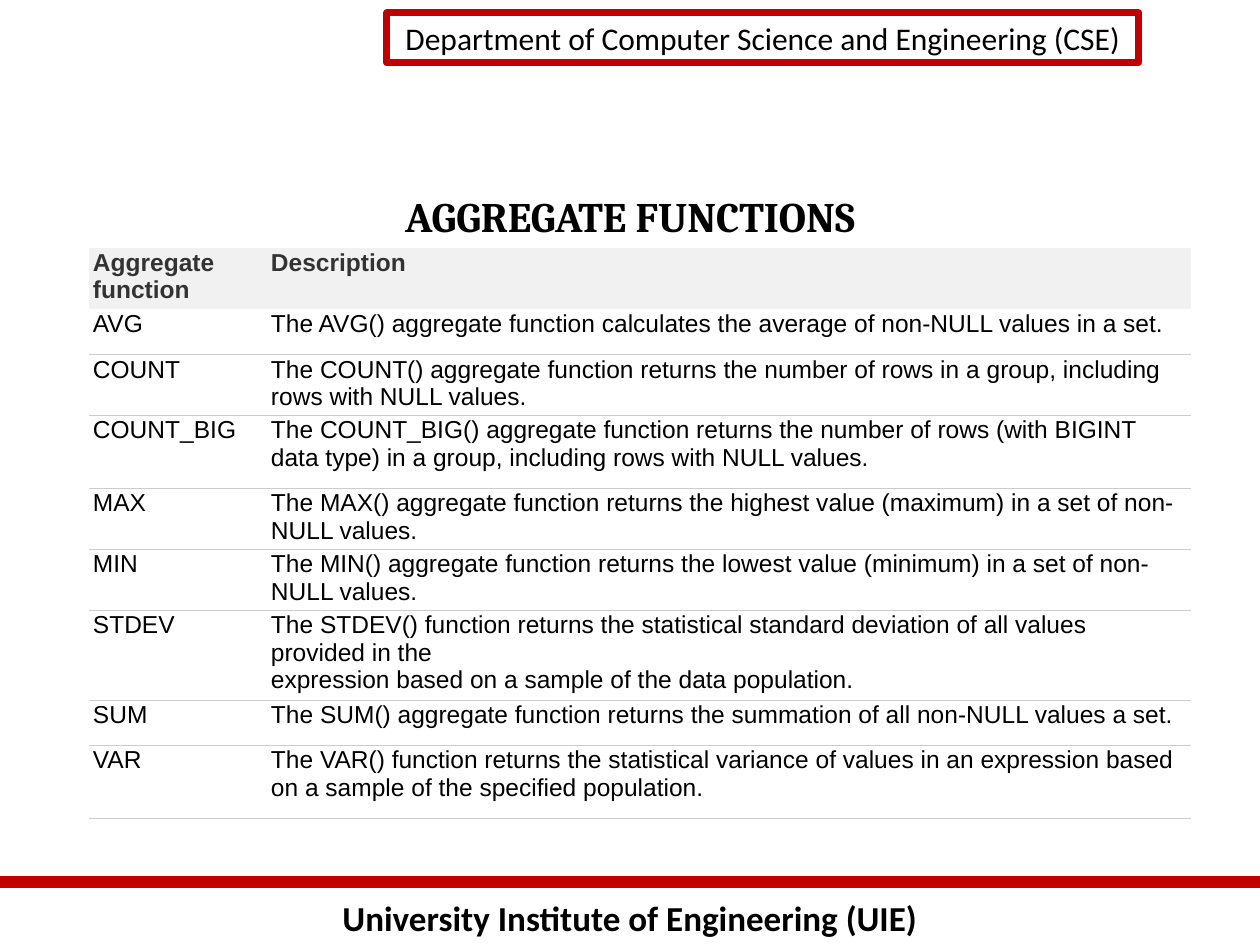
from lxml.etree import SubElement, fromstring
from pptx import Presentation
from pptx.dml.color import RGBColor
from pptx.enum.shapes import MSO_CONNECTOR, MSO_SHAPE
from pptx.enum.text import MSO_ANCHOR, PP_ALIGN
from pptx.oxml.ns import nsdecls, qn
from pptx.util import Pt

# Content
DEPT = "Department of Computer Science and Engineering (CSE)"
TITLE = "AGGREGATE FUNCTIONS"
FOOT = "University Institute of Engineering (UIE)"
HEAD = ("Aggregate function", "Description", 60)
ROWS = [  # function, description, row height in px
    ("AVG", "The AVG() aggregate function calculates the average of non-NULL values in a set.", 46),
    ("COUNT", "The COUNT() aggregate function returns the number of rows in a group, "
     "including rows with NULL values.", 60),
    ("COUNT_BIG", "The COUNT_BIG() aggregate function returns the number of rows "
     "(with BIGINT data type) in a group, including rows with NULL values.", 73),
    ("MAX", "The MAX() aggregate function returns the highest value (maximum) "
     "in a set of non-NULL values.", 60),
    ("MIN", "The MIN() aggregate function returns the lowest value (minimum) "
     "in a set of non-NULL values.", 60),
    ("STDEV", "The STDEV() function returns the statistical standard deviation of all values "
     "provided in the\nexpression based on a sample of the data population.", 88),
    ("SUM", "The SUM() aggregate function returns the summation of all non-NULL values a set.", 45),
    ("VAR", "The VAR() function returns the statistical variance of values in an expression "
     "based on a sample of the specified population.", 73),
]
COLS = (178, 924)

BLACK = RGBColor(0x00, 0x00, 0x00)
WHITE = RGBColor(0xFF, 0xFF, 0xFF)
RED = RGBColor(0xC0, 0x00, 0x00)
DARK = RGBColor(0x33, 0x33, 0x33)
PALE = RGBColor(0xF1, 0xF1, 0xF1)
RULE = RGBColor(0xCC, 0xCC, 0xCC)
NO_STYLE = "{2D5ABB26-0587-4C30-8999-92F81FD0307C}"


def px(n):
    return round(n * 914400 / 126)


def write(para, text, font, size, color=BLACK, bold=False):
    para.text = text
    for run in para.runs:
        run.font.name, run.font.size = font, Pt(size)
        run.font.bold, run.font.color.rgb = bold, color


def label(shape, text, font, size, bold=False, anchor=MSO_ANCHOR.TOP):
    frame = shape.text_frame
    frame.word_wrap = True
    frame.vertical_anchor = anchor
    para = frame.paragraphs[0]
    write(para, text, font, size, bold=bold)
    para.alignment = PP_ALIGN.CENTER


def edge(cell, sides):
    # Cell borders come first in the cell properties
    props = cell._tc.get_or_add_tcPr()
    for i, side in enumerate(sides):
        props.insert(i, fromstring(
            f'<a:{side} {nsdecls("a")} w="9525"><a:solidFill>'
            f'<a:srgbClr val="{RULE}"/></a:solidFill></a:{side}>'))


deck = Presentation()
deck.slide_width, deck.slide_height = px(1260), px(945)
slide = deck.slides.add_slide(deck.slide_layouts[6])
shapes = slide.shapes

# Footer with red rule
foot = shapes.add_textbox(0, px(890), px(1260), px(55))
label(foot, FOOT, "Calibri", 20, True)
rule = shapes.add_connector(MSO_CONNECTOR.STRAIGHT, 0, px(882), px(1260), px(882))
rule.line.color.rgb, rule.line.width = RED, Pt(7)
SubElement(rule._element.spPr, qn("a:effectLst"))

# Department box
dept = shapes.add_shape(MSO_SHAPE.RECTANGLE, px(387), px(13), px(752), px(50))
dept.shadow.inherit = False
dept.fill.background()
dept.line.color.rgb, dept.line.width = RED, Pt(4)
label(dept, DEPT, "Calibri", 18)

# Title
title = shapes.add_textbox(px(63), px(174), px(1134), px(83))
label(title, TITLE, "Cambria", 24, True, MSO_ANCHOR.MIDDLE)

# Function table
grid = [HEAD] + ROWS
table = shapes.add_table(len(grid), len(COLS), px(89), px(248), px(sum(COLS)),
                         px(sum(row[2] for row in grid))).table
table._tbl.tblPr.find(qn("a:tableStyleId")).text = NO_STYLE
table.horz_banding = False
for col, width in zip(table.columns, COLS):
    col.width = px(width)
for r, (*texts, height) in enumerate(grid):
    table.rows[r].height = px(height)
    for c, text in enumerate(texts):
        cell = table.cell(r, c)
        cell.margin_left = cell.margin_right = px(4)
        cell.margin_top = cell.margin_bottom = px(1)
        cell.fill.solid()
        cell.fill.fore_color.rgb = WHITE if r else PALE
        write(cell.text_frame.paragraphs[0], text, "Arial", 14,
              BLACK if r else DARK, r == 0)
        if r:
            edge(cell, ("lnT", "lnB") if r > 1 else ("lnB",))

deck.save("out.pptx")
